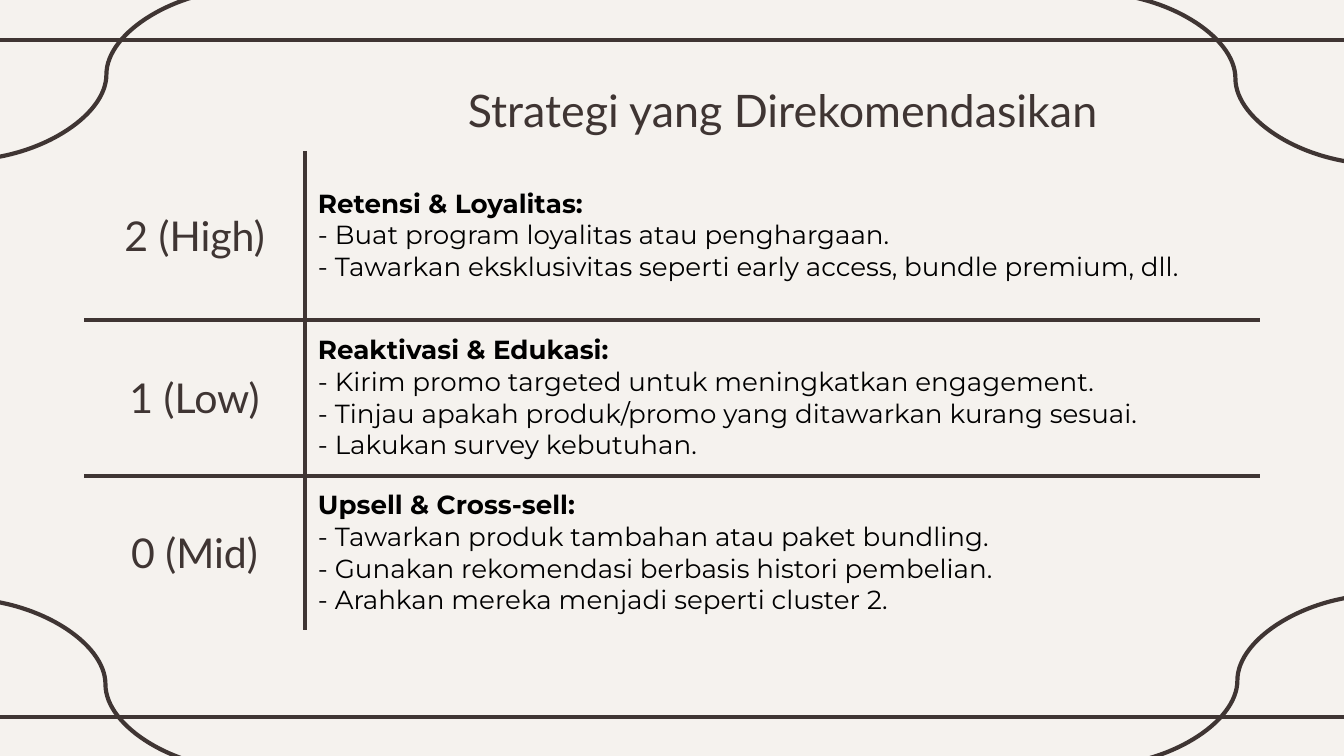
from lxml import etree
from pptx import Presentation
from pptx import util as u
from pptx.dml.color import RGBColor
from pptx.enum import shapes, text
from pptx.oxml import ns

THEME = {
    "paper": "F5F2EE", "ink": "3F3533", "body": "000000",
    "heading_font": "Lato", "body_font": "Montserrat",
    "title_size": 24, "label_size": 22, "body_size": 14, "line": 2.25,
}
WIDTH, HEIGHT = 1344, 756
SCALE = u.Inches(10) / WIDTH

TITLE = "Strategi yang Direkomendasikan"
STRATEGIES = [
    ("2 (High)", "Retensi & Loyalitas:", [
        "- Buat program loyalitas atau penghargaan.",
        "- Tawarkan eksklusivitas seperti early access, bundle premium, dll.",
    ]),
    ("1 (Low)", "Reaktivasi & Edukasi:", [
        "- Kirim promo targeted untuk meningkatkan engagement.",
        "- Tinjau apakah produk/promo yang ditawarkan kurang sesuai.",
        "- Lakukan survey kebutuhan.",
    ]),
    ("0 (Mid)", "Upsell & Cross-sell:", [
        "- Tawarkan produk tambahan atau paket bundling.",
        "- Gunakan rekomendasi berbasis histori pembelian.",
        "- Arahkan mereka menjadi seperti cluster 2.",
    ]),
]
TABLE_LEFT, TABLE_TOP = 84, 70
COLUMN_WIDTHS = [221, 955]
ROW_HEIGHTS = [81, 169, 156, 154]
CELL_MARGIN = 13

RULE_HEIGHTS = [40, 717]
RULE_OVERHANG = 11
CURVE_WIDTH, CURVE_HEIGHT = 283, 171
CURVES = [(-36, 599, 1), (1094, -7, 1), (1379, 595, -1), (248, -11, -1)]


def px(length):
    return u.Emu(round(length * SCALE))


def color(name):
    return RGBColor.from_string(THEME[name])


def add_line(page, kind, *ends):
    line = page.shapes.add_connector(kind, *map(px, ends))
    line.line.color.rgb = color("ink")
    line.line.width = u.Pt(THEME["line"])
    etree.SubElement(line._element.spPr, ns.qn("a:effectLst"))


def add_frame(page):
    for height in RULE_HEIGHTS:
        add_line(page, shapes.MSO_CONNECTOR.STRAIGHT,
                 -RULE_OVERHANG, height, WIDTH + RULE_OVERHANG, height)
    for left, top, direction in CURVES:
        add_line(page, shapes.MSO_CONNECTOR.CURVE, left, top,
                 left + direction * CURVE_WIDTH, top + CURVE_HEIGHT)


def set_borders(cell, visible):
    properties = cell._tc.get_or_add_tcPr()
    for side in "LRTB":
        edge = etree.SubElement(properties, ns.qn(f"a:ln{side}"),
                                w=str(u.Pt(THEME["line"])))
        if side in visible:
            fill = etree.SubElement(edge, ns.qn("a:solidFill"))
            etree.SubElement(fill, ns.qn("a:srgbClr"), val=THEME["ink"])
        else:
            etree.SubElement(edge, ns.qn("a:noFill"))
    cell.fill.background()


def fill_cell(cell, lines, role, font, ink, align):
    cell.text_frame.text = "\n".join(lines)
    cell.vertical_anchor = text.MSO_ANCHOR.MIDDLE
    cell.margin_left = cell.margin_right = px(CELL_MARGIN)
    cell.margin_top = cell.margin_bottom = px(CELL_MARGIN)
    for index, para in enumerate(cell.text_frame.paragraphs):
        para.alignment = align
        for span in para.runs:
            span.font.name = THEME[font]
            span.font.size = u.Pt(THEME[role])
            span.font.color.rgb = color(ink)
            span.font.bold = role == "body_size" and index == 0


def add_strategy_table(page):
    table = page.shapes.add_table(
        len(ROW_HEIGHTS), len(COLUMN_WIDTHS), px(TABLE_LEFT), px(TABLE_TOP),
        px(sum(COLUMN_WIDTHS)), px(sum(ROW_HEIGHTS))).table
    table.first_row = table.horz_banding = False
    for column, width in zip(table.columns, COLUMN_WIDTHS):
        column.width = px(width)
    for row, height in zip(table.rows, ROW_HEIGHTS):
        row.height = px(height)

    heading = ("heading_font", "ink", text.PP_ALIGN.CENTER)
    body = ("body_font", "body", text.PP_ALIGN.LEFT)
    fill_cell(table.cell(0, 1), [TITLE], "title_size", *heading)
    for row, (label, goal, actions) in enumerate(STRATEGIES, 1):
        fill_cell(table.cell(row, 0), [label], "label_size", *heading)
        fill_cell(table.cell(row, 1), [goal, *actions], "body_size", *body)

    last = len(STRATEGIES)
    for row in range(last + 1):
        across = ("T" if row > 1 else "") + ("B" if 0 < row < last else "")
        for column, inner in enumerate("RL"):
            visible = across + inner if row else ""
            set_borders(table.cell(row, column), visible)


def main():
    deck = Presentation()
    deck.slide_width, deck.slide_height = px(WIDTH), px(HEIGHT)
    page = deck.slides.add_slide(deck.slide_layouts[6])
    page.background.fill.solid()
    page.background.fill.fore_color.rgb = color("paper")
    add_frame(page)
    add_strategy_table(page)
    deck.save("out.pptx")


if __name__ == "__main__":
    main()
